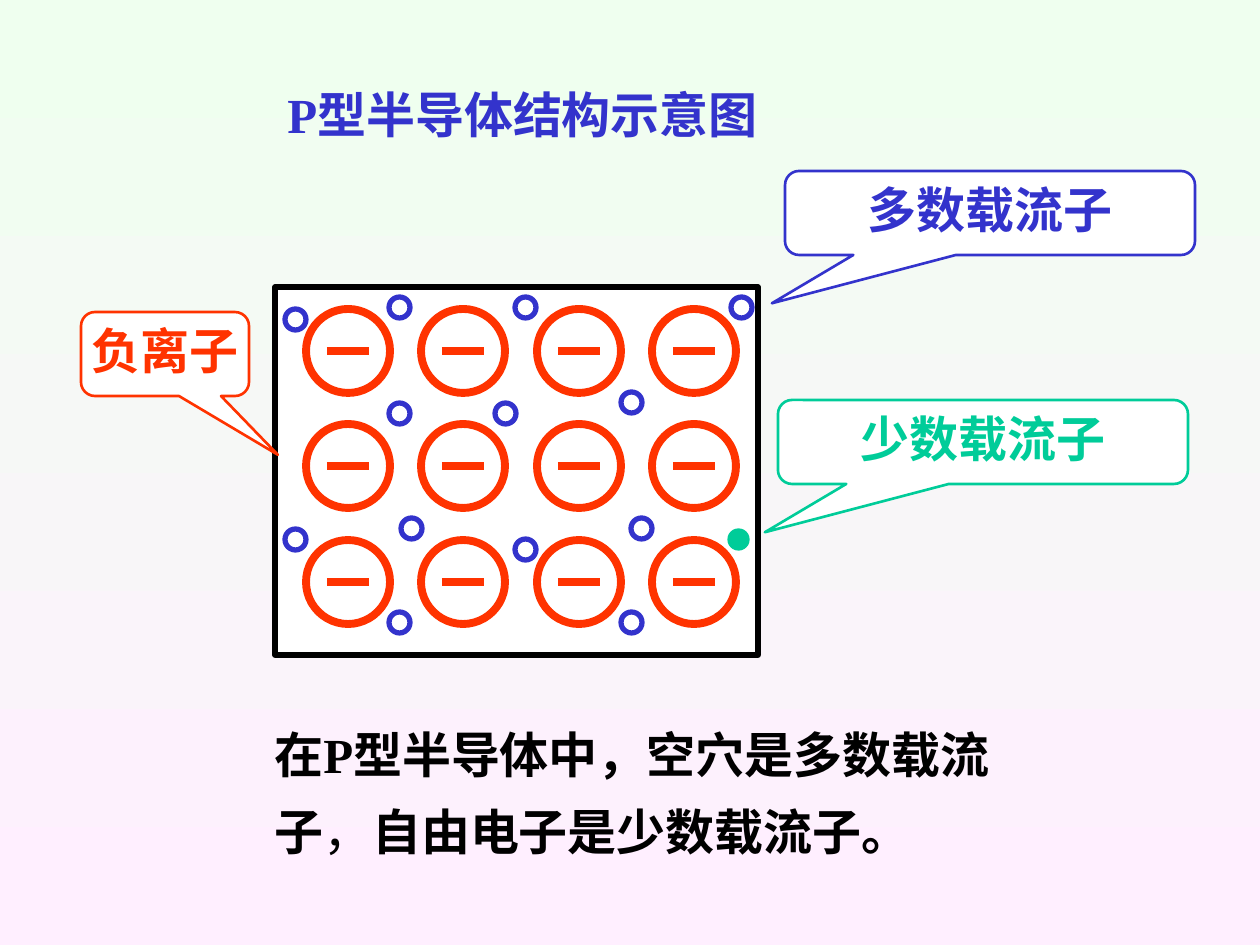
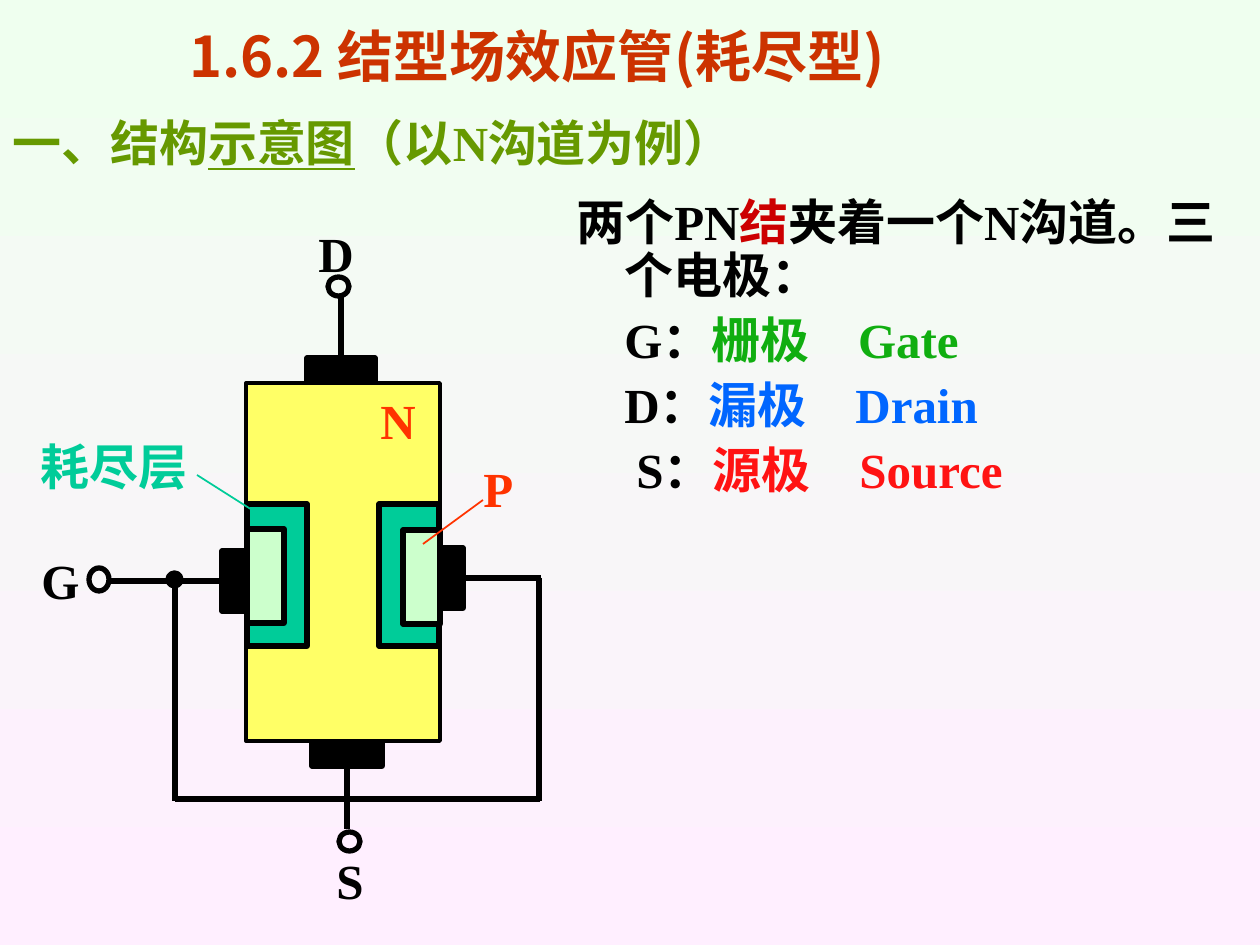
from lxml.etree import SubElement
from pptx import Presentation
from pptx.dml.color import RGBColor
from pptx.enum.shapes import MSO_CONNECTOR, MSO_SHAPE
from pptx.enum.text import MSO_ANCHOR, PP_ALIGN
from pptx.oxml.ns import qn
from pptx.util import Pt

SCALE = 914400 / 126
WIDE, HIGH = 1260, 945

THEME = dict(
    black="000000", white="FFFFFF", red="FF3300", blue="3333CC", teal="00CC99",
    rust="CC3300", olive="669900", crimson="CC0000", gold="FFFF66", mint="CCFFCC",
    gate="10AE10", drain="0066FF", source="FF1313", top="EFFFEF", base="FFEFFF",
    head=32, body=28, serif="Times New Roman", sans="Noto Sans CJK SC",
)
SANS = {"name": THEME["sans"]}
CENTER = {"alignment": PP_ALIGN.CENTER}
MIDDLE = {"vertical_anchor": MSO_ANCHOR.MIDDLE}
LOOSE = {"line_spacing": 1.3}
TIGHT = {"line_spacing": 0.9, "space_before": Pt(7)}
HEAD = {**SANS, "size": Pt(THEME["head"])}

CRYSTAL = (275, 287, 483, 368)
HOLES = [
    (285, 309), (389, 297), (515, 297), (731, 297), (389, 403), (495, 403), (621, 392),
    (285, 529), (401, 518), (515, 539), (631, 518), (389, 612), (621, 612),
]
ELECTRON = (728, 529)
ION, DOT = 84, 21
CALLOUTS = [
    ("少数载流子", (778, 400, 410, 84), "teal", (-0.532, 1.075, 0.167)),
    ("负离子", (81, 312, 168, 84), "red", (0.672, 1.2, 0.167)),
    ("多数载流子", (785, 171, 410, 84), "blue", (-0.532, 1.075, 0.167)),
]
P_TITLE = [("P", "blue", {}), ("型半导体结构示意图", "blue", SANS)]
P_NOTE = [
    ("在P型半导体中，空穴是多数载流子", "black", {}),
    ("，", "black", {"bold": False}),
    ("自由电子是少数载流子。", "black", {}),
]

FET_TITLE = [
    ("1.6.2 ", "rust", HEAD),
    ("结", "rust", {"size": Pt(THEME["head"])}),
    ("型场效应管(耗尽型)", "rust", HEAD),
]
FET_HEAD = [
    ("一、结构", "olive", SANS),
    ("示意图", "olive", {**SANS, "underline": True}),
    ("（以", "olive", SANS),
    ("N", "olive", {}),
    ("沟道为例）", "olive", SANS),
]
FET_NOTE = [
    ("两个PN", "black", {}),
    ("结", "crimson", {}),
    ("夹着一个N沟道。三个电极：", "black", {}),
]
POLES = [
    ("G：", "栅极　Gate", "gate", 48),
    ("D：", "漏极　Drain", "drain", 48),
    ("S：", "源极　Source", "source", 60),
]
BLOCKS = [
    ((246, 383, 194, 358), "gold", 2.25),
    ((247, 504, 60, 142), "teal", 3),
    ((247, 529, 37, 94), "mint", 3),
    ((379, 504, 60, 142), "teal", 3),
    ((403, 530, 37, 94), "mint", 3),
]
LEADS = [
    ((307, 358, 68, 23), (341, 295), 0),
    ((312, 743, 70, 23), (347, 829), 2),
    ((441, 548, 22, 60), (541, 578), 3),
    ((222, 551, 22, 60), (110, 581), 1),
]
WIRES = [
    ((539, 578), (539, 801)),
    ((175, 799), (540, 799)),
    ((175, 578), (175, 801)),
]
POINTS = [
    ((328, 277, 21, 19), None),
    ((339, 832, 21, 19), None),
    ((89, 568, 20, 23), None),
    ((168, 573, 13, 13), "black"),
]
HINTS = [((423, 544), (483, 500), "red"), ((260, 515), (197, 475), "teal")]
LABELS = [
    ("N", (368, 384, 97, 72), "red"),
    ("P", (471, 452, 97, 72), "red"),
    ("耗尽层", (28, 430, 195, 72), "teal"),
    ("G", (29, 544, 101, 72), "black"),
    ("S", (324, 844, 140, 72), "black"),
    ("D", (306, 217, 76, 72), "black"),
]


def px(n):
    return round(n * SCALE)


def tint(key):
    return RGBColor.from_string(THEME[key])


def apply(item, form):
    for key, value in form.items():
        setattr(item, key, value)


def add_runs(para, runs, form):
    apply(para, form)
    for words, hue, extra in runs:
        run = para.add_run()
        run.text = words
        base = {"name": THEME["serif"], "size": Pt(THEME["body"]), "bold": True}
        apply(run.font, {**base, **extra})
        run.font.color.rgb = tint(hue)
        SubElement(run.font._element, qn("a:ea"), typeface=THEME["sans"])


def add_text(slide, box, runs, form={}, frame={}):
    text = slide.shapes.add_textbox(*map(px, box)).text_frame
    apply(text, {"word_wrap": True, **frame})
    add_runs(text.paragraphs[0], runs, form)
    return text


def add_form(slide, kind, box, fill, line, width):
    form = slide.shapes.add_shape(kind, *map(px, box))
    form.shadow.inherit = False
    if fill:
        form.fill.solid()
        form.fill.fore_color.rgb = tint(fill)
    else:
        form.fill.background()
    form.line.color.rgb = tint(line)
    form.line.width = Pt(width)
    return form


def add_line(slide, start, end, hue="black", width=3):
    ends = map(px, (*start, *end))
    line = slide.shapes.add_connector(MSO_CONNECTOR.STRAIGHT, *ends)
    line.line.color.rgb = tint(hue)
    line.line.width = Pt(width)
    SubElement(line._element.spPr, qn("a:effectLst"))
    return line


def add_slide(deck):
    slide = deck.slides.add_slide(deck.slide_layouts[6])
    fill = slide.background.fill
    fill.gradient()
    fill.gradient_angle = 270
    for stop, key in zip(fill.gradient_stops, ("top", "base")):
        stop.color.rgb = tint(key)
    return slide


def add_callout(slide, words, box, hue, points):
    form = add_form(slide, MSO_SHAPE.ROUNDED_RECTANGULAR_CALLOUT, box, "white", hue, 1.5)
    for i, value in enumerate(points):
        form.adjustments[i] = value
    text = form.text_frame
    apply(text, {
        "word_wrap": True, "vertical_anchor": MSO_ANCHOR.TOP, "margin_top": px(4),
        "margin_left": 0, "margin_right": 0, "margin_bottom": 0,
    })
    add_runs(text.paragraphs[0], [(words, hue, {})], CENTER)


def draw_crystal(deck):
    slide = add_slide(deck)
    add_form(slide, MSO_SHAPE.RECTANGLE, CRYSTAL, "white", "black", 3)
    for row in range(3):
        for col in range(4):
            x, y = 306 + col * 231 // 2, 309 + row * 231 // 2
            add_form(slide, MSO_SHAPE.OVAL, (x, y, ION, ION), "white", "red", 4.5)
            mid = y + ION // 2
            add_line(slide, (x + ION // 4, mid), (x + ION * 3 // 4, mid), "red", 4.5)
    for spot in HOLES:
        add_form(slide, MSO_SHAPE.OVAL, (*spot, DOT, DOT), "white", "blue", 3)
    add_form(slide, MSO_SHAPE.OVAL, (*ELECTRON, DOT, DOT), "teal", "teal", 0.75)
    for call in CALLOUTS:
        add_callout(slide, *call)
    add_text(slide, (275, 78, 562, 72), P_TITLE)
    add_text(slide, (262, 701, 782, 166), P_NOTE, LOOSE)


def indent(para, left, first=0):
    props = para._p.get_or_add_pPr()
    props.set("marL", str(px(left)))
    props.set("indent", str(px(first)))


def draw_fet(deck):
    slide = add_slide(deck)
    add_text(slide, (135, 15, 804, 81), FET_TITLE, CENTER, MIDDLE)
    add_text(slide, (0, 106, 1143, 72), FET_HEAD, frame=MIDDLE)
    for box, fill, width in BLOCKS:
        add_form(slide, MSO_SHAPE.RECTANGLE, box, fill, "black", width)
    for box, far, side in LEADS:
        cap = add_form(slide, MSO_SHAPE.RECTANGLE, box, "black", "black", 3)
        add_line(slide, far, far).end_connect(cap, side)
    for start, end in WIRES:
        add_line(slide, start, end)
    for box, fill in POINTS:
        add_form(slide, MSO_SHAPE.OVAL, box, fill, "black", 3)
    for start, end, hue in HINTS:
        add_line(slide, start, end, hue, 1)
    for words, box, hue in LABELS:
        add_text(slide, box, [(words, hue, {})])
    text = add_text(slide, (564, 192, 664, 341), FET_NOTE, {"line_spacing": 0.9})
    indent(text.paragraphs[0], 48, -48)
    for mark, words, hue, left in POLES:
        para = text.add_paragraph()
        add_runs(para, [(mark, "black", {}), (words, hue, {})], TIGHT)
        indent(para, left)


def main():
    deck = Presentation()
    apply(deck, {"slide_width": px(WIDE), "slide_height": px(HIGH)})
    draw_crystal(deck)
    draw_fet(deck)
    deck.save("out.pptx")


if __name__ == "__main__":
    main()
